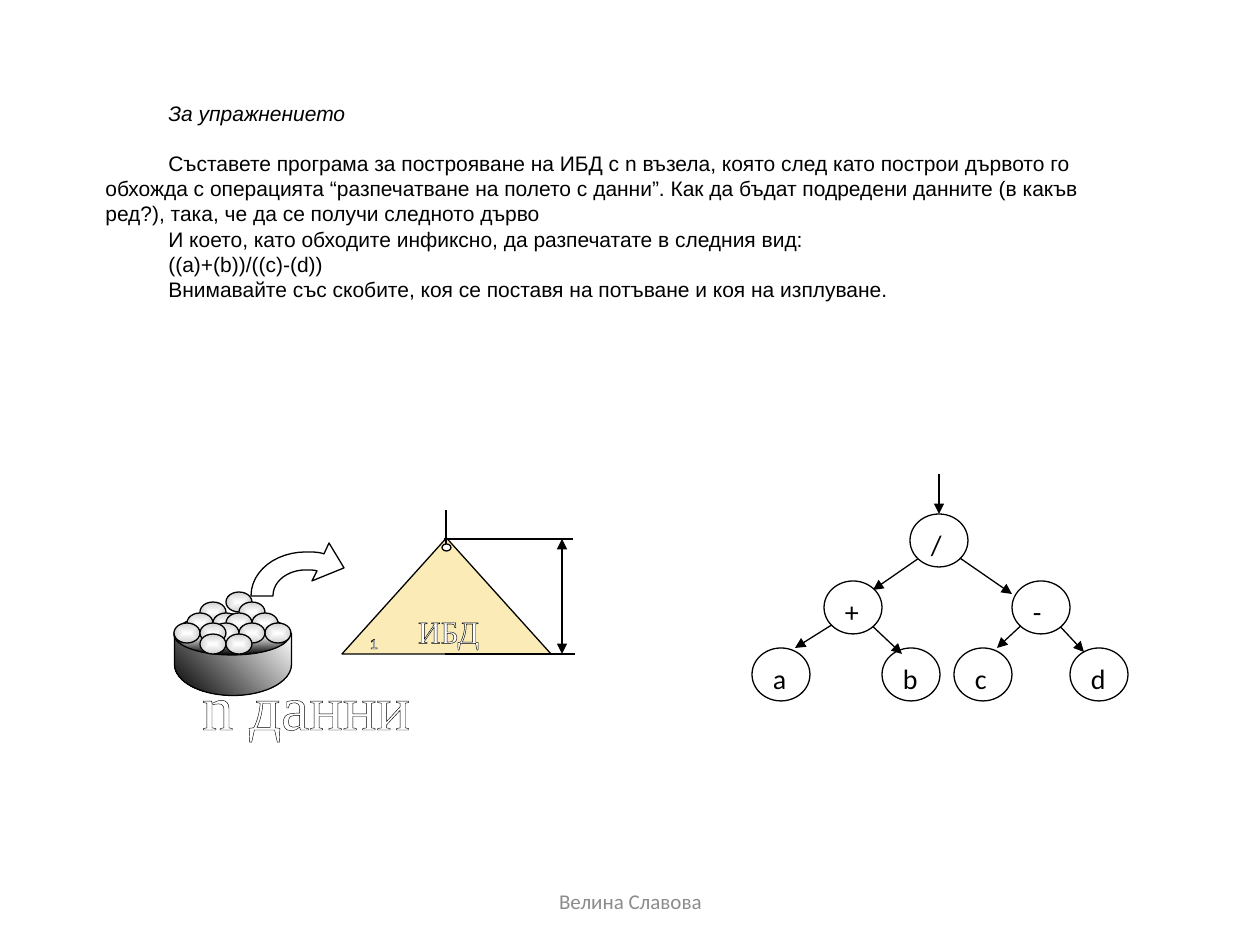
"""Build a slide on printing an expression tree in infix order."""
from dataclasses import dataclass
from typing import NamedTuple

from lxml import etree
from pptx import Presentation
from pptx.dml.color import RGBColor
from pptx.enum.shapes import MSO_CONNECTOR, MSO_SHAPE
from pptx.enum.text import MSO_ANCHOR, PP_ALIGN
from pptx.oxml.ns import qn
from pptx.util import Emu, Pt

OVAL = MSO_SHAPE.OVAL
TRIANGLE = MSO_SHAPE.ISOSCELES_TRIANGLE
DELAY = MSO_SHAPE.FLOWCHART_DELAY
STRAIGHT = MSO_CONNECTOR.STRAIGHT
LEFT, CENTER = PP_ALIGN.LEFT, PP_ALIGN.CENTER
TOP, MIDDLE = MSO_ANCHOR.TOP, MSO_ANCHOR.MIDDLE
SCALE = 914400 / 126


@dataclass(frozen=True)
class Theme:
    black: str = "000000"
    white: str = "FFFFFF"
    sand: str = "FBECB7"
    silver: str = "D1D1D1"
    grey: str = "8C8C8C"
    sans: str = "Arial"
    serif: str = "Times New Roman"
    label: str = "Calibri"
    tiny: int = 8
    body: int = 12
    node: int = 16
    tree: int = 18
    data: int = 36
    leading: float = 14.4
    line: float = 0.75


class Box(NamedTuple):
    x: int
    y: int
    w: int
    h: int


class Line(NamedTuple):
    x1: int
    y1: int
    x2: int
    y2: int
    head: bool = False
    tail: bool = False


class Node(NamedTuple):
    text: str
    x: int
    y: int


class Caption(NamedTuple):
    text: str
    box: Box
    size: int
    font: str


T = Theme()
TITLE = "За упражнението"
BODY = [
    "Съставете програма за построяване на ИБД с n възела, която след като построи дървото го "
    "обхожда с операцията “разпечатване на полето с данни”. Как да бъдат подредени данните "
    "(в какъв ред?), така, че да се получи следното дърво",
    "И което, като обходите инфиксно, да разпечатате в следния вид:",
    "((а)+(b))/((c)-(d))",
    "Внимавайте със скобите, коя се поставя на потъване и коя на изплуване.",
]
BALL_ROWS = [(4,), (5, 2), (1, 6, 3, 4), (0, 7, 3, 2, 5), (2, 4)]
CAPTIONS = [
    Caption("ИБД", Box(418, 612, 90, 40), T.tree, T.serif),
    Caption("n данни", Box(202, 667, 240, 80), T.data, T.serif),
    Caption("1", Box(370, 635, 16, 18), T.tiny, T.sans),
]
MEASURES = [
    Line(446, 544, 446, 510),
    Line(445, 654, 575, 654),
    Line(444, 539, 573, 539),
    Line(562, 539, 562, 654, head=True, tail=True),
]
ROOT = Node("/", 910, 514)
LEAVES = [Node("а", 752, 648), Node("b", 882, 648), Node("c", 954, 648), Node("d", 1070, 648)]
BRANCHES = [Node("-", 1012, 581), Node("+", 824, 581)]
ROOT_LINES = [Line(925, 554, 873, 590, tail=True), Line(954, 554, 1012, 594, tail=True)]
LEAF_LINES = [
    Line(867, 621, 902, 654, tail=True),
    Line(1055, 621, 1084, 652, tail=True),
    Line(838, 621, 795, 648, tail=True),
    Line(1026, 621, 997, 648, tail=True),
]


def px(n: float) -> Emu:
    return Emu(round(n * SCALE))


def rgb(color: str) -> RGBColor:
    return RGBColor.from_string(color)


def write(p, text: str, *, size: int, font: str, color: str = T.black,
          italic: bool = False, align=LEFT, outlined: bool = False) -> None:
    p.alignment = align
    r = p.add_run()
    r.text = text
    r.font.size, r.font.name, r.font.italic = Pt(size), font, italic
    r.font.color.rgb = rgb(color)
    if outlined:
        ln = etree.Element(qn("a:ln"), w=str(Pt(T.line)))
        fill = etree.SubElement(ln, qn("a:solidFill"))
        etree.SubElement(fill, qn("a:srgbClr"), val=T.black)
        r.font._element.insert(0, ln)


def add_text(slide, box: Box, anchor=TOP, inset: bool = True):
    tf = slide.shapes.add_textbox(*map(px, box)).text_frame
    tf.word_wrap, tf.vertical_anchor = True, anchor
    if not inset:
        tf.margin_left = tf.margin_right = tf.margin_top = tf.margin_bottom = 0
    return tf


def style(sp, fill: str) -> None:
    sp.shadow.inherit = False
    sp.fill.solid()
    sp.fill.fore_color.rgb = rgb(fill)
    sp.line.color.rgb = rgb(T.black)
    sp.line.width = Pt(T.line)


def add_shape(slide, kind, box: Box, fill: str = T.white):
    sp = slide.shapes.add_shape(kind, *map(px, box))
    style(sp, fill)
    return sp


def shade(sp, end: str, radial: bool = True) -> None:
    sp.fill.gradient()
    for stop, color in zip(sp.fill.gradient_stops, (T.white, end)):
        stop.color.rgb = rgb(color)
    sp.fill.gradient_angle = 315
    if radial:
        lin = sp._element.spPr.find(".//" + qn("a:lin"))
        path = etree.Element(qn("a:path"), path="shape")
        etree.SubElement(path, qn("a:fillToRect"), l="50000", t="50000", r="50000", b="50000")
        lin.getparent().replace(lin, path)


def add_line(slide, line: Line):
    sp = slide.shapes.add_connector(STRAIGHT, *map(px, line[:4]))
    sp.line.color.rgb = rgb(T.black)
    sp.line.width = Pt(T.line)
    ln = sp.line._get_or_add_ln()
    for tag, shown in (("a:headEnd", line.head), ("a:tailEnd", line.tail)):
        if shown:
            etree.SubElement(ln, qn(tag), type="triangle")
    etree.SubElement(sp._element.spPr, qn("a:effectLst"))
    return sp


def add_node(slide, node: Node):
    sp = add_shape(slide, OVAL, Box(node.x, node.y, 58, 53))
    sp.text_frame.vertical_anchor = TOP
    write(sp.text_frame.paragraphs[0], node.text, size=T.node, font=T.label)
    return sp


def curve(a, b, c, d, steps: int = 12) -> list:
    ts = [i / steps for i in range(1, steps + 1)]
    return [tuple((1 - t) ** 3 * i + 3 * t * (1 - t) ** 2 * j + 3 * t * t * (1 - t) * k + t ** 3 * m
                  for i, j, k, m in zip(a, b, c, d)) for t in ts]


def add_bent_arrow(slide) -> None:
    pts = [*curve((317, 571), (314, 570), (310, 570), (306, 570)),
           *curve((306, 570), (288, 570), (273, 581), (273, 596)), (251, 596),
           *curve((251, 596), (251, 571), (276, 552), (306, 552)),
           *curve((306, 552), (312, 552), (319, 552), (324, 554)),
           (329, 543), (344, 568), (312, 581)]
    fb = slide.shapes.build_freeform(px(317), px(571))
    fb.add_line_segments([(px(x), px(y)) for x, y in pts])
    style(fb.convert_to_shape(), T.white)


def add_task(slide) -> None:
    tf = add_text(slide, Box(93, 94, 1048, 239))
    for i, text in enumerate([TITLE, *BODY]):
        p = tf.add_paragraph() if i else tf.paragraphs[0]
        p._p.get_or_add_pPr().set("indent", str(px(63)))
        p.line_spacing = Pt(T.leading)
        p.space_after = Pt(0 if i else T.leading)
        write(p, text, size=T.body, font=T.sans, italic=not i)


def add_data_figure(slide) -> None:
    add_shape(slide, TRIANGLE, Box(342, 538, 209, 116), T.sand)
    add_shape(slide, OVAL, Box(442, 544, 9, 7))
    bowl = add_shape(slide, DELAY, Box(202, 606, 62, 117))
    bowl.rotation = 90
    shade(bowl, T.black, radial=False)
    shade(add_shape(slide, OVAL, Box(174, 614, 116, 41)), T.black)
    for row, cols in enumerate(BALL_ROWS):
        for col in cols:
            shade(add_shape(slide, OVAL, Box(174 + 13 * col, 592 + 21 * row // 2, 26, 20)), T.silver)
    for cap in CAPTIONS:
        tf = add_text(slide, cap.box, inset=False)
        write(tf.paragraphs[0], cap.text, size=cap.size, font=cap.font, color=T.white, outlined=True)
    for line in MEASURES:
        add_line(slide, line)
    add_bent_arrow(slide)


def add_tree(slide) -> None:
    for line in ROOT_LINES:
        add_line(slide, line)
    root = add_node(slide, ROOT)
    add_line(slide, Line(939, 474, 939, 514, tail=True)).end_connect(root, 0)
    for leaf in LEAVES:
        add_node(slide, leaf)
    for line in LEAF_LINES:
        add_line(slide, line)
    for branch in BRANCHES:
        add_node(slide, branch)


def main() -> None:
    prs = Presentation()
    prs.slide_width, prs.slide_height = px(1260), px(945)
    slide = prs.slides.add_slide(prs.slide_layouts[6])
    add_task(slide)
    add_data_figure(slide)
    add_tree(slide)
    footer = add_text(slide, Box(431, 876, 399, 50), MIDDLE)
    write(footer.paragraphs[0], "Велина Славова", size=T.body, font=T.label,
          color=T.grey, align=CENTER)
    prs.save("out.pptx")


if __name__ == "__main__":
    main()
